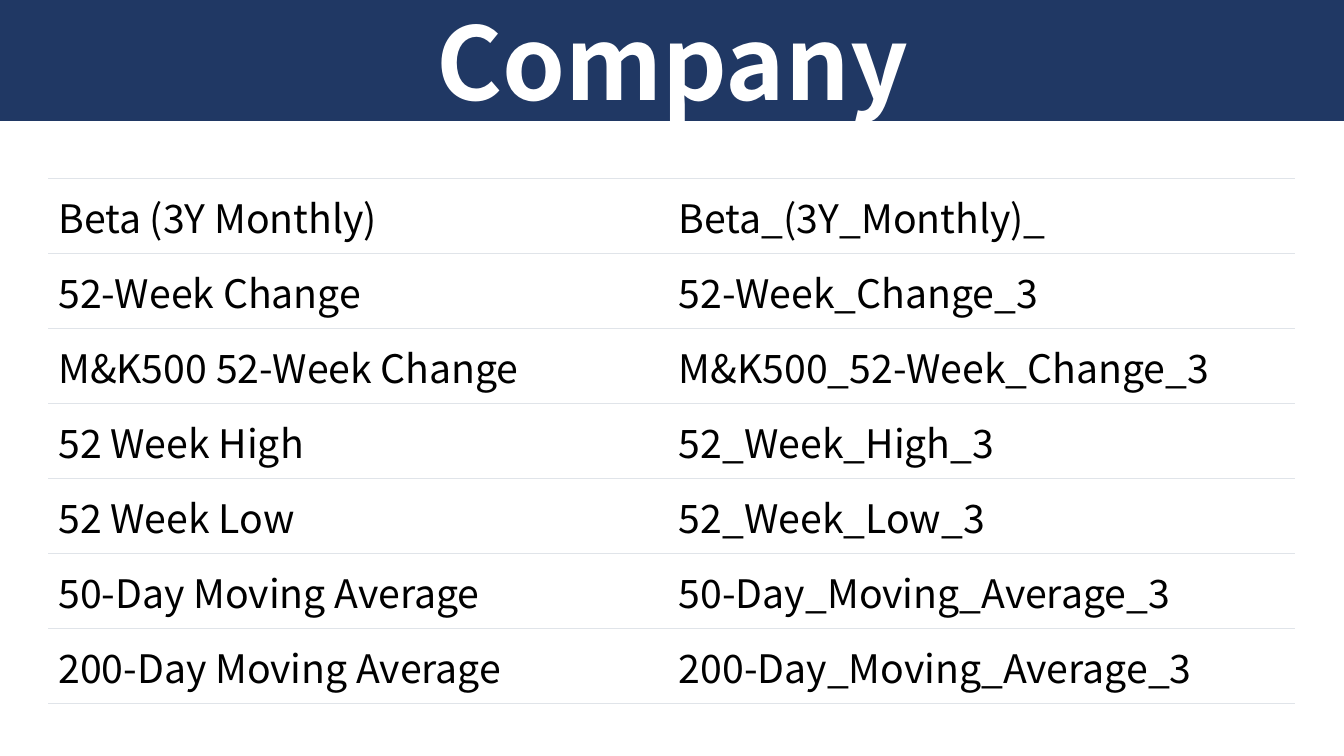
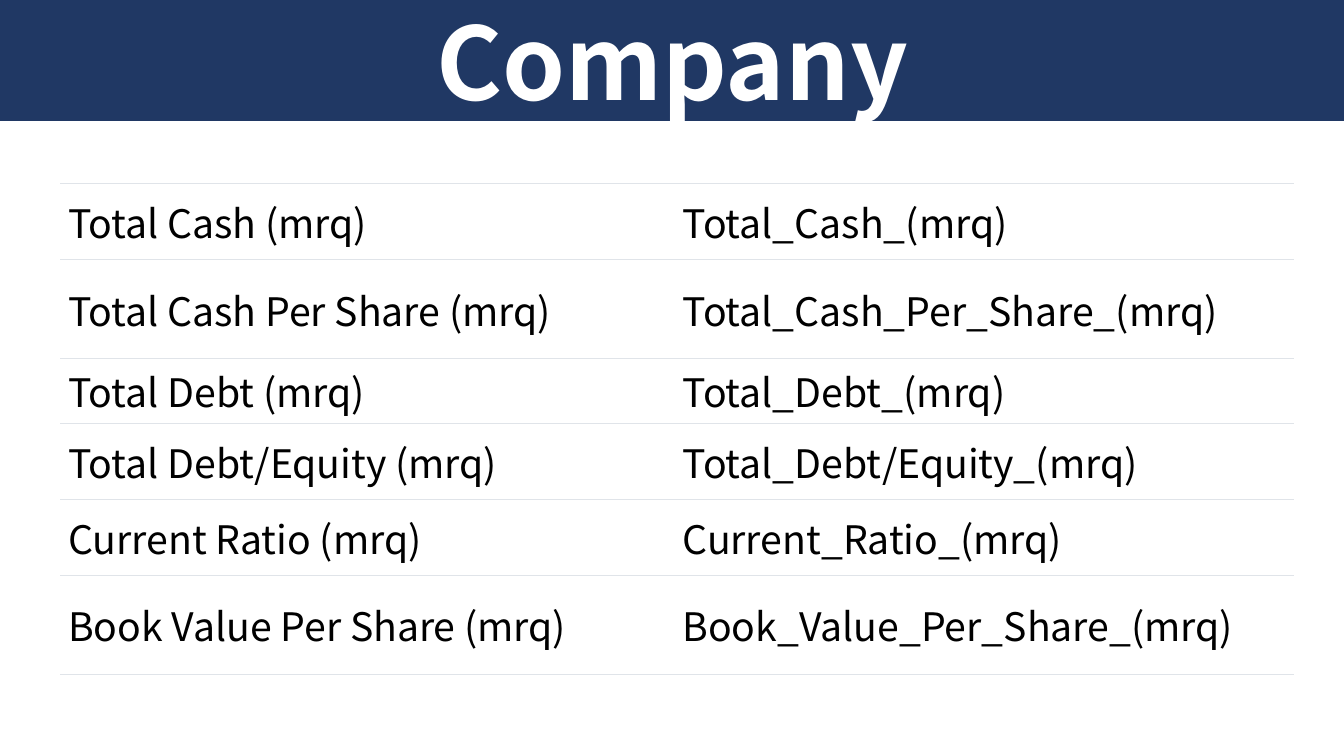
import pptx
import pptx.dml.color
import pptx.enum.text
import pptx.oxml
import pptx.oxml.ns
import pptx.util
from pptx.util import Cm

NAVY = pptx.dml.color.RGBColor(0x20, 0x38, 0x64)
RULE_GREY = pptx.dml.color.RGBColor(0xE0, 0xE4, 0xE9)
WHITE = pptx.dml.color.RGBColor(0xFF, 0xFF, 0xFF)
BLACK = pptx.dml.color.RGBColor(0x00, 0x00, 0x00)

FONT_NAME = "Noto Sans CJK JP"
TITLE_FONT = {"name": FONT_NAME, "size": pptx.util.Pt(72), "bold": True}
CELL_FONT = {"name": FONT_NAME, "size": pptx.util.Pt(28), "bold": False}

SLIDE_WIDTH, SLIDE_HEIGHT = Cm(33.87), Cm(19.05)
TITLE_BOX = {"left": 0, "top": 0, "width": SLIDE_WIDTH, "height": Cm(3.02)}
TITLE_ONLY_LAYOUT = 5

TRADING_FIELDS = {
    "box": {"left": Cm(1.22), "top": Cm(4.5), "width": Cm(31.42)},
    "outer": Cm(0.25), "inner": Cm(0.18), "vertical": Cm(0.13),
    "row_heights": [Cm(1.89)] * 7,
    "rows": [
        ("Beta (3Y Monthly)", "Beta_(3Y_Monthly)_"),
        ("52-Week Change", "52-Week_Change_3"),
        ("M&K500 52-Week Change", "M&K500_52-Week_Change_3"),
        ("52 Week High", "52_Week_High_3"),
        ("52 Week Low", "52_Week_Low_3"),
        ("50-Day Moving Average", "50-Day_Moving_Average_3"),
        ("200-Day Moving Average", "200-Day_Moving_Average_3"),
    ],
}
BALANCE_FIELDS = {
    "box": {"left": Cm(1.52), "top": Cm(4.62), "width": Cm(31.1)},
    "outer": Cm(0.2), "inner": Cm(0.13), "vertical": Cm(0.1),
    "row_heights": [Cm(h) for h in (1.92, 2.49, 1.35, 1.92, 1.92, 2.49)],
    "rows": [
        ("Total Cash (mrq)", "Total_Cash_(mrq)"),
        ("Total Cash Per Share (mrq)", "Total_Cash_Per_Share_(mrq)"),
        ("Total Debt (mrq)", "Total_Debt_(mrq)"),
        ("Total Debt/Equity (mrq)", "Total_Debt/Equity_(mrq)"),
        ("Current Ratio (mrq)", "Current_Ratio_(mrq)"),
        ("Book Value Per Share (mrq)", "Book_Value_Per_Share_(mrq)"),
    ],
}


def set_attributes(target, values):
    for name, value in values.items():
        setattr(target, name, value)


def format_font(font, values, color):
    set_attributes(font, values)
    font.color.rgb = color


def add_title_band(slide, text, box):
    title = slide.shapes.title
    set_attributes(title, box)
    title.fill.solid()
    title.fill.fore_color.rgb = NAVY
    title.line.color.rgb = NAVY
    title.line.width = pptx.util.Pt(1)
    frame = title.text_frame
    set_attributes(frame, {
        "text": text,
        "word_wrap": True,
        "auto_size": pptx.enum.text.MSO_AUTO_SIZE.NONE,
        "vertical_anchor": pptx.enum.text.MSO_ANCHOR.MIDDLE,
    })
    paragraph = frame.paragraphs[0]
    paragraph.alignment = pptx.enum.text.PP_ALIGN.CENTER
    format_font(paragraph.runs[0].font, TITLE_FONT, WHITE)


def set_horizontal_rules(cell):
    """Draw thin rules above and below a cell and none at its sides."""
    namespace = pptx.oxml.ns.nsdecls("a")
    solid = f'<a:solidFill><a:srgbClr val="{RULE_GREY}"/></a:solidFill>'
    borders = {"lnL": "<a:noFill/>", "lnR": "<a:noFill/>", "lnT": solid, "lnB": solid}
    properties = cell._tc.get_or_add_tcPr()
    for position, (tag, fill) in enumerate(borders.items()):
        border = pptx.oxml.parse_xml(f'<a:{tag} {namespace} w="6350">{fill}</a:{tag}>')
        properties.insert(position, border)


def fill_cell(cell, text, margins):
    set_attributes(cell, {
        "text": text,
        "vertical_anchor": pptx.enum.text.MSO_ANCHOR.MIDDLE,
        **margins,
    })
    cell.fill.solid()
    cell.fill.fore_color.rgb = WHITE
    set_horizontal_rules(cell)
    format_font(cell.text_frame.paragraphs[0].runs[0].font, CELL_FONT, BLACK)


def add_field_table(slide, fields):
    """Place a two-column table of labels and field names."""
    rows, heights = fields["rows"], fields["row_heights"]
    table = slide.shapes.add_table(
        len(rows), 2, height=sum(heights), **fields["box"]).table
    set_attributes(table, {"first_row": False, "horz_banding": False})
    outer, inner, vertical = fields["outer"], fields["inner"], fields["vertical"]
    sides = ((outer, inner), (inner, outer))
    for row, height, texts in zip(table.rows, heights, rows):
        row.height = height
        for cell, text, (left, right) in zip(row.cells, texts, sides):
            fill_cell(cell, text, {
                "margin_left": left, "margin_right": right,
                "margin_top": vertical, "margin_bottom": vertical,
            })


def add_field_slide(presentation, title, fields):
    slide = presentation.slides.add_slide(
        presentation.slide_layouts[TITLE_ONLY_LAYOUT])
    add_title_band(slide, title, TITLE_BOX)
    add_field_table(slide, fields)


def main():
    presentation = pptx.Presentation()
    set_attributes(presentation, {
        "slide_width": SLIDE_WIDTH, "slide_height": SLIDE_HEIGHT})
    for fields in (TRADING_FIELDS, BALANCE_FIELDS):
        add_field_slide(presentation, "Company", fields)
    presentation.save("out.pptx")


if __name__ == "__main__":
    main()
